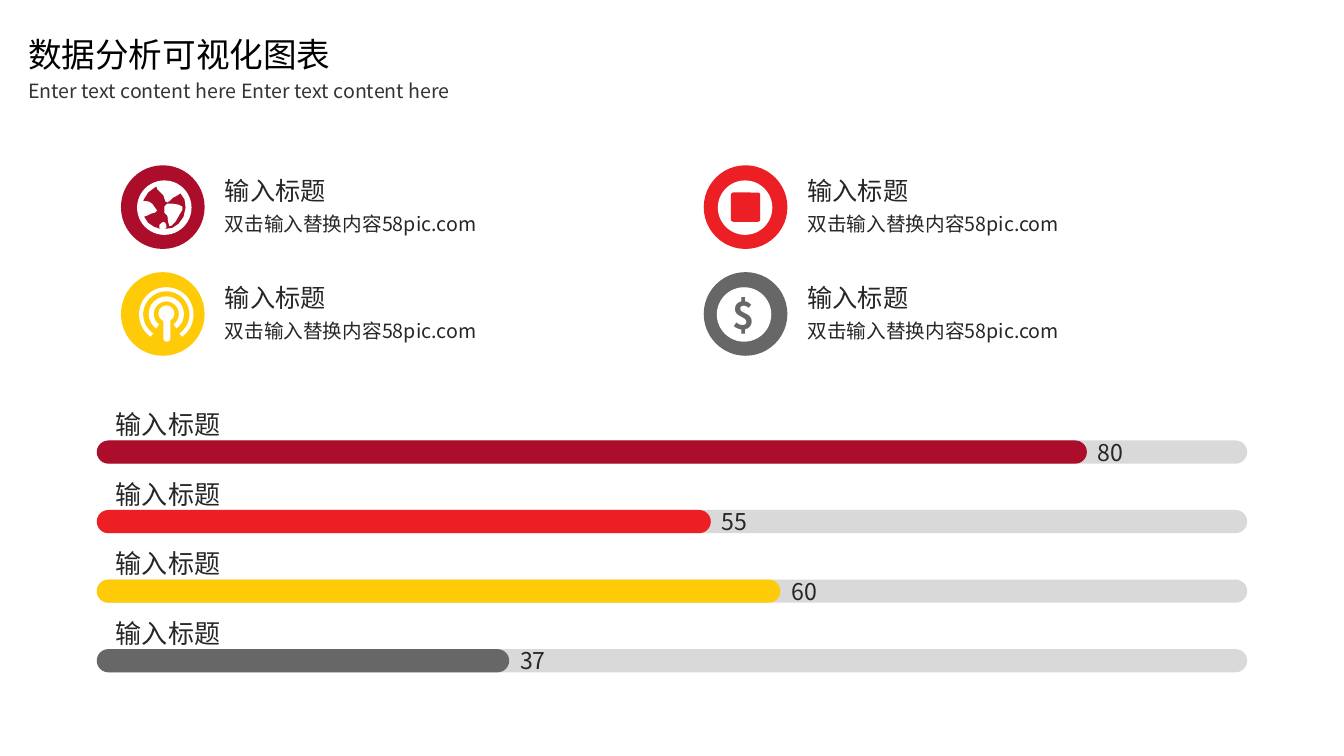
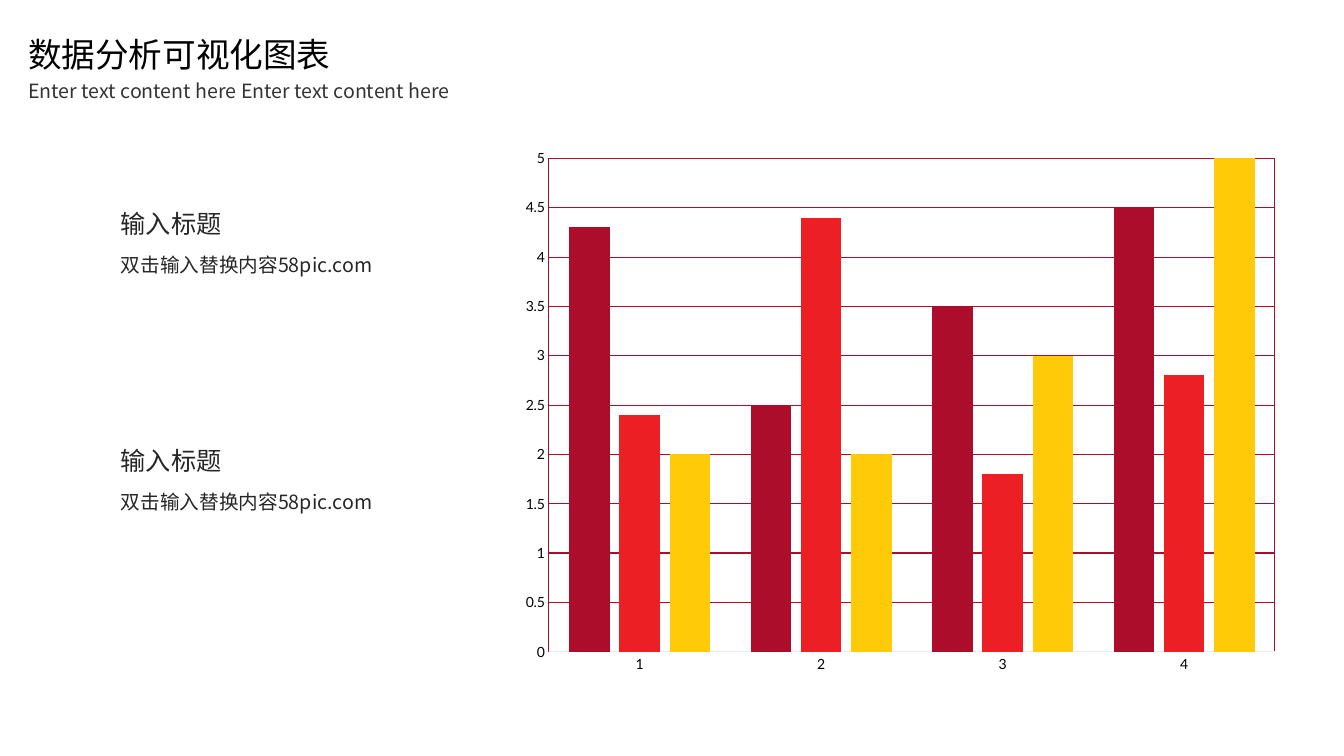
from lxml import etree
from pptx import Presentation
from pptx.chart.data import CategoryChartData
from pptx.dml.color import RGBColor
from pptx.enum.chart import XL_CHART_TYPE, XL_TICK_MARK
from pptx.enum.shapes import MSO_SHAPE
from pptx.enum.text import MSO_ANCHOR, PP_ALIGN
from pptx.oxml import parse_xml
from pptx.oxml.ns import nsdecls, qn
from pptx.util import Inches, Pt

CRIMSON = RGBColor(0xAC, 0x0D, 0x2B)
RED = RGBColor(0xEC, 0x1F, 0x25)
YELLOW = RGBColor(0xFF, 0xCB, 0x09)
GREY = RGBColor(0x67, 0x67, 0x67)
TRACK = RGBColor(0xD9, 0xD9, 0xD9)
AXIS = RGBColor(0xEA, 0xEC, 0xEF)
INK = RGBColor(0x26, 0x26, 0x26)
SUBTITLE = RGBColor(0x33, 0x33, 0x33)
BLACK = RGBColor(0, 0, 0)
WHITE = RGBColor(0xFF, 0xFF, 0xFF)

TEXT_FONT = "Noto Sans CJK JP"
CHART_FONT = "Lato"

OVAL = MSO_SHAPE.OVAL
ROUNDED = MSO_SHAPE.ROUNDED_RECTANGLE
BLOCK_ARC = MSO_SHAPE.BLOCK_ARC
TOP, MIDDLE = MSO_ANCHOR.TOP, MSO_ANCHOR.MIDDLE
LEFT, CENTER = PP_ALIGN.LEFT, PP_ALIGN.CENTER
COLUMNS = XL_CHART_TYPE.COLUMN_CLUSTERED
NO_TICK = XL_TICK_MARK.NONE

HEADING = "输入标题"
DETAIL = "双击输入替换内容58pic.com"
DISC = 0.54  # white disc inside each badge

# Globe outlines, relative to the disc
OCEAN = [(0.28, 0.48), (0.29, 0.47), (0.29, 0.44), (0.28, 0.42), (0.26, 0.41),
         (0.24, 0.42), (0.22, 0.44), (0.22, 0.47), (0.23, 0.48), (0.17, 0.46),
         (0.11, 0.42), (0.07, 0.36), (0.1, 0.35), (0.14, 0.33), (0.18, 0.32),
         (0.2, 0.3), (0.18, 0.27), (0.15, 0.23), (0.12, 0.21), (0.06, 0.2),
         (0.11, 0.12), (0.19, 0.06), (0.2, 0.09), (0.23, 0.12), (0.26, 0.15),
         (0.27, 0.18), (0.28, 0.21), (0.3, 0.22), (0.33, 0.2), (0.36, 0.17),
         (0.4, 0.15), (0.43, 0.13), (0.47, 0.19), (0.48, 0.27), (0.46, 0.36),
         (0.41, 0.43), (0.35, 0.47)]
CONTINENT = [(0.41, 0.24), (0.35, 0.23), (0.3, 0.23), (0.27, 0.26), (0.27, 0.32),
             (0.3, 0.35), (0.31, 0.42), (0.32, 0.45), (0.34, 0.45), (0.38, 0.41),
             (0.42, 0.34), (0.45, 0.29), (0.45, 0.26)]


def add_text(slide, text, left, top, width, height, size=14, color=INK,
             bold=False, inset=False, anchor=TOP, align=LEFT, spacing=None):
    box = slide.shapes.add_textbox(Inches(left), Inches(top), Inches(width), Inches(height))
    frame = box.text_frame
    frame.word_wrap = True
    frame.vertical_anchor = anchor
    if not inset:
        frame.margin_left = frame.margin_right = frame.margin_top = frame.margin_bottom = 0
    paragraph = frame.paragraphs[0]
    paragraph.alignment = align
    if spacing:
        paragraph.line_spacing = spacing
    run = paragraph.add_run()
    run.text = text
    font = run.font
    font.size = Pt(size)
    font.bold = bold
    font.color.rgb = color
    font.name = TEXT_FONT
    east_asian = etree.SubElement(run._r.get_or_add_rPr(), qn("a:ea"))
    east_asian.set("typeface", TEXT_FONT)


def paint(shape, color):
    shape.shadow.inherit = False
    shape.fill.solid()
    shape.fill.fore_color.rgb = color
    shape.line.fill.background()


def add_shape(slide, kind, left, top, width, height, color, adjustments=()):
    shape = slide.shapes.add_shape(kind, Inches(left), Inches(top), Inches(width), Inches(height))
    for index, value in enumerate(adjustments):
        shape.adjustments[index] = value
    paint(shape, color)


def add_outline(slide, points, left, top, color):
    corners = [(Inches(left + x), Inches(top + y)) for x, y in points]
    builder = slide.shapes.build_freeform(*corners[0])
    builder.add_line_segments(corners[1:], close=True)
    paint(builder.convert_to_shape(), color)


# Icons: each is drawn in a DISC-sized box
def globe_icon(slide, left, top, color):
    add_shape(slide, OVAL, left, top, DISC, DISC, WHITE)
    add_outline(slide, OCEAN, left, top, color)
    add_outline(slide, CONTINENT, left, top, WHITE)


def square_icon(slide, left, top, color):
    add_shape(slide, OVAL, left, top, DISC, DISC, WHITE)
    add_shape(slide, ROUNDED, left + 0.13, top + 0.12, 0.29, 0.29, color, [0.08])


def broadcast_icon(slide, left, top, color):
    middle = left + DISC / 2
    start, end = 125 * 0.6, 55 * 0.6  # degrees in adjustment units
    for diameter, offset, thickness in ((DISC, 0, 0.04), (0.35, 0.09, 0.05)):
        add_shape(slide, BLOCK_ARC, middle - diameter / 2, top + offset, diameter, diameter,
                  WHITE, [start, end, thickness / diameter])
    add_shape(slide, OVAL, middle - 0.08, top + 0.18, 0.16, 0.16, WHITE)
    add_shape(slide, ROUNDED, middle - 0.03, top + 0.25, 0.07, 0.29, WHITE, [0.5])


def dollar_icon(slide, left, top, color):
    add_shape(slide, OVAL, left, top, DISC, DISC, WHITE)
    add_text(slide, "$", left, top, DISC, DISC, size=27, color=color, bold=True,
             anchor=MIDDLE, align=CENTER)


# Shared header
def add_header(slide):
    add_text(slide, "数据分析可视化图表", 0.18, 0.29, 3.78, 0.5, size=24, color=BLACK, inset=True)
    add_text(slide, "Enter text content here Enter text content here",
             0.18, 0.73, 6.24, 0.34, color=SUBTITLE, inset=True)


def add_badge_card(slide, left, top, color, draw_icon, icon_shift):
    add_shape(slide, OVAL, left, top, 0.83, 0.83, color)
    draw_icon(slide, left + icon_shift, top + 0.15, color)
    add_text(slide, HEADING, left + 1.03, top + 0.1, 1.57, 0.28, size=18)
    add_text(slide, DETAIL, left + 1.03, top + 0.38, 4.46, 0.35, anchor=MIDDLE, spacing=1.2)


def add_progress_bar(slide, left, top, color, length, value):
    height = 0.23
    add_text(slide, HEADING, left + 0.19, top - 0.32, 3.89, 0.32, size=18.6, anchor=MIDDLE)
    for width, fill in ((11.41, TRACK), (length, color)):
        add_shape(slide, ROUNDED, left, top, width, height, fill, [0.5])
    add_text(slide, value, left + length + 0.11, top, 0.5, height, size=16.5, anchor=MIDDLE)


def add_text_block(slide, left, top):
    add_text(slide, HEADING, left, top, 1.5, 0.4, size=18, inset=True)
    add_text(slide, DETAIL, left, top + 0.44, 3.28, 0.34, inset=True)


def add_column_chart(slide, left, top, width, height):
    data = CategoryChartData()
    data.categories = ["1", "2", "3", "4"]
    data.add_series("Series 1", (4.3, 2.5, 3.5, 4.5))
    data.add_series("Series 2", (2.4, 4.4, 1.8, 2.8))
    data.add_series("Series 3", (2, 2, 3, 5))
    chart = slide.shapes.add_chart(COLUMNS, Inches(left), Inches(top), Inches(width),
                                   Inches(height), data).chart
    chart.has_legend = False
    chart.has_title = False
    chart.font.name = CHART_FONT
    chart.font.size = Pt(10)
    chart.font.color.rgb = BLACK

    plot = chart.plots[0]
    plot.gap_width = 100
    plot.overlap = -24
    plot.vary_by_categories = False
    for series, color in zip(plot.series, (CRIMSON, RED, YELLOW)):
        series.format.fill.solid()
        series.format.fill.fore_color.rgb = color

    category_axis, value_axis = chart.category_axis, chart.value_axis
    for axis in (category_axis, value_axis):
        axis.major_tick_mark = axis.minor_tick_mark = NO_TICK
    category_axis.format.line.color.rgb = AXIS
    category_axis.format.line.width = Pt(0.75)
    value_axis.minimum_scale = 0
    value_axis.maximum_scale = 5
    value_axis.major_unit = 0.5
    value_axis.format.line.fill.background()
    grid = value_axis.major_gridlines.format.line
    grid.color.rgb = CRIMSON
    grid.width = Pt(0.75)

    # Border of the plot area
    plot_area = chart._chartSpace.find(".//" + qn("c:plotArea"))
    plot_area.append(parse_xml(
        f'<c:spPr {nsdecls("c", "a")}><a:noFill/><a:ln w="{Pt(0.75)}"><a:solidFill>'
        f'<a:srgbClr val="{CRIMSON}"/></a:solidFill></a:ln></c:spPr>'))


def build_progress_slide(slide):
    add_header(slide)
    cards = ((CRIMSON, globe_icon, 0.16), (RED, square_icon, 0.14),
             (YELLOW, broadcast_icon, 0.18), (GREY, dollar_icon, 0.13))
    for index, card in enumerate(cards):
        row, column = divmod(index, 2)
        add_badge_card(slide, 1.2 + column * 5.78, 1.64 + row * 1.06, *card)
    bars = ((CRIMSON, 9.82, "80"), (RED, 6.09, "55"), (YELLOW, 6.78, "60"), (GREY, 4.09, "37"))
    for row, bar in enumerate(bars):
        add_progress_bar(slide, 0.96, 4.37 + row * 0.69, *bar)


def build_chart_slide(slide):
    add_header(slide)
    add_column_chart(slide, 5.06, 1.38, 7.74, 5.4)
    for top in (2.02, 4.37):
        add_text_block(slide, 1.1, top)


def main():
    presentation = Presentation()
    presentation.slide_width = Inches(13.33)
    presentation.slide_height = Inches(7.5)
    blank = presentation.slide_layouts[6]
    for build in (build_progress_slide, build_chart_slide):
        build(presentation.slides.add_slide(blank))
    presentation.save("out.pptx")


if __name__ == "__main__":
    main()
